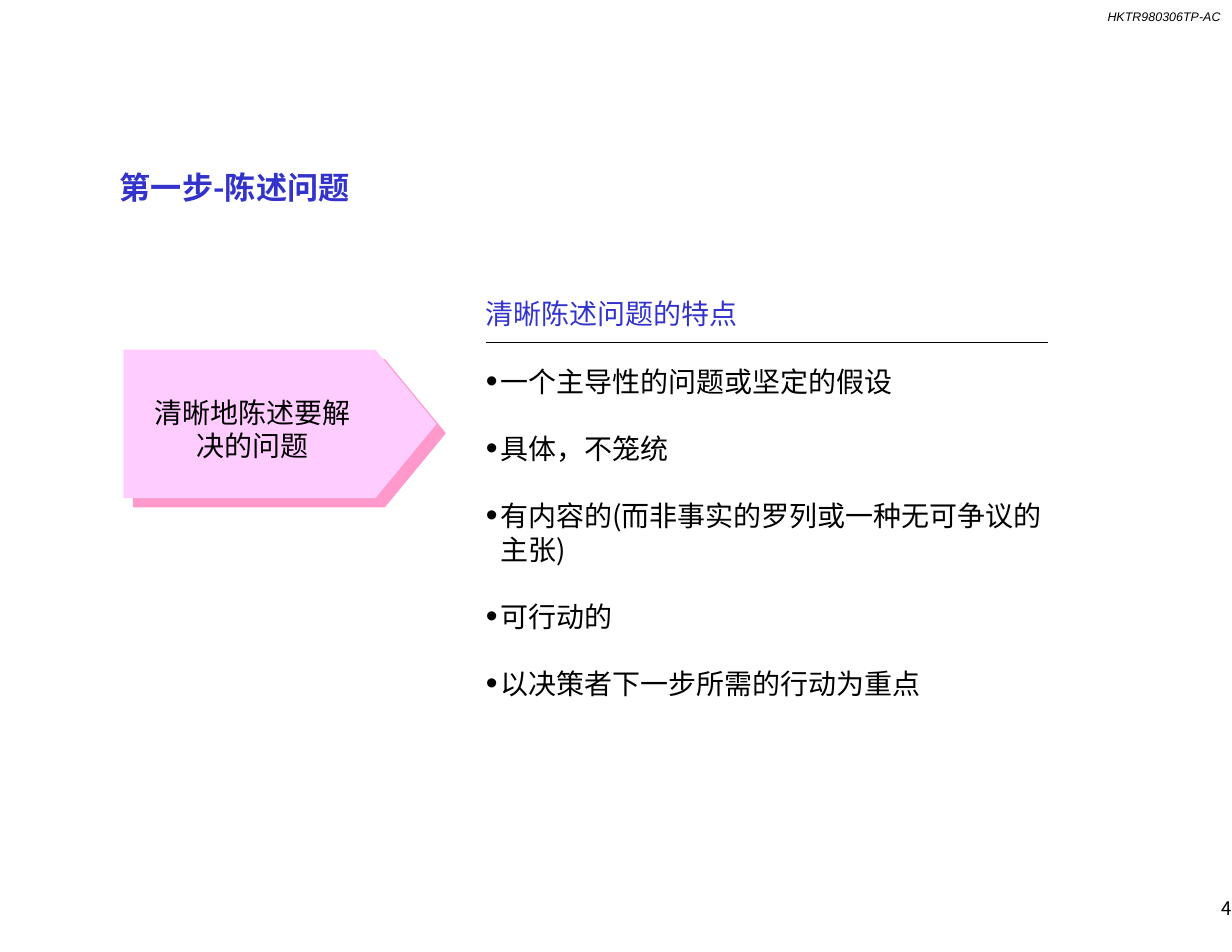
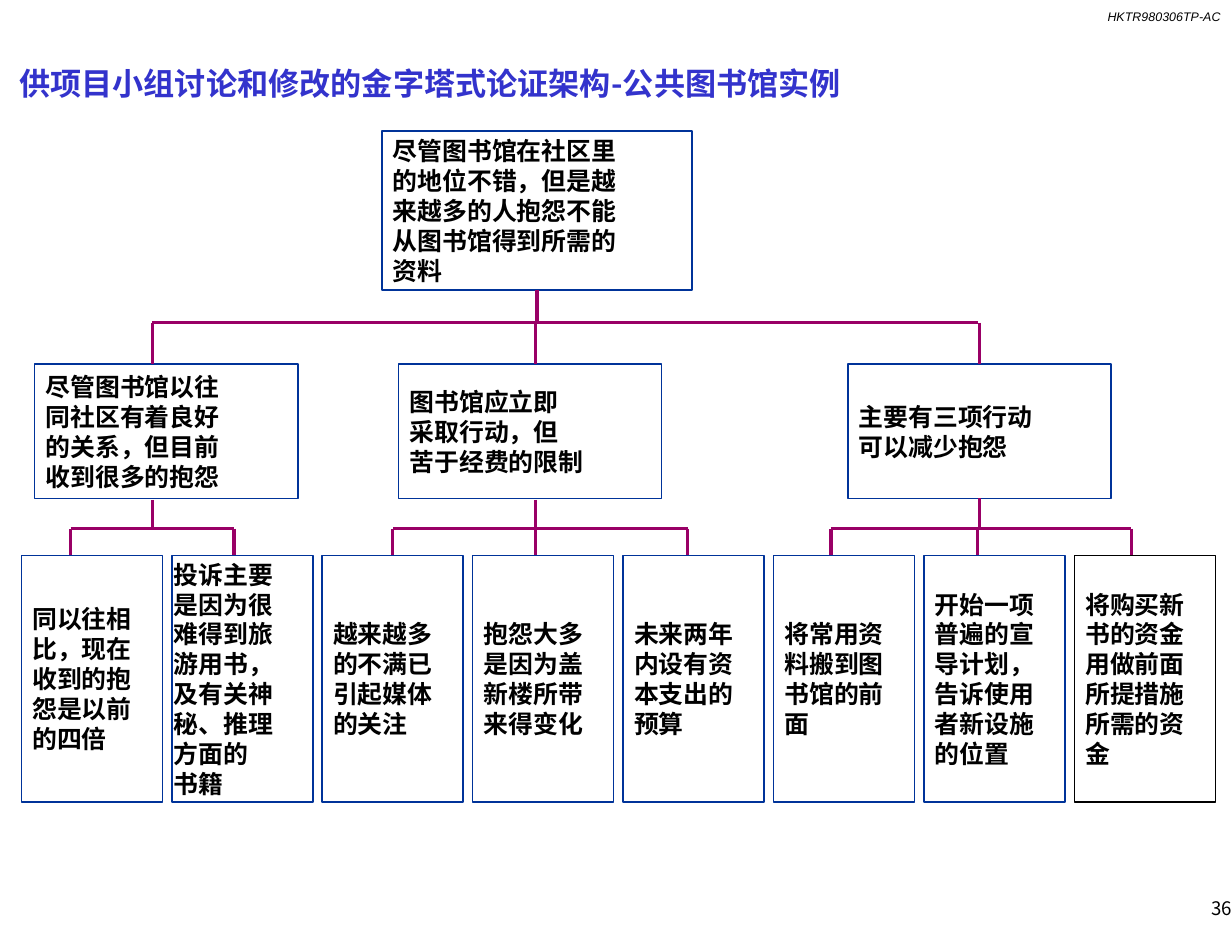
"""Build two slides on stating a problem and arguing it as a pyramid."""
from lxml.etree import SubElement
from pptx import Presentation
from pptx.dml.color import RGBColor
from pptx.enum.shapes import MSO_CONNECTOR, MSO_SHAPE
from pptx.enum.text import MSO_ANCHOR, PP_ALIGN
from pptx.oxml.ns import qn
from pptx.util import Inches, Pt

THEME = {
    "blue": "3333CC", "black": "000000", "white": "FFFFFF", "edge": "003399",
    "pink": "FFCCFF", "shade": "FF99CC", "link": "990066",
    "code": {"size": 8, "name": "Arial", "bold": False, "italic": True},
    "number": {"size": 12, "name": "Noto Sans CJK SC", "bold": False},
    "title": {"size": 20, "name": "Noto Sans CJK SC", "bold": True},
    "body": {"size": 18, "name": "Noto Sans CJK SC", "bold": False},
    "box": {"size": 16, "name": "Noto Sans CJK SC", "bold": True},
}
LEADING = 1.2

prs = Presentation()
prs.slide_width, prs.slide_height = Inches(11), Inches(8.5)
PX, PY = prs.slide_width / 100, prs.slide_height / 100


def text(s, at, words, style, color="black", align=PP_ALIGN.LEFT, anchor=MSO_ANCHOR.TOP,
         edge=None, inset=0):
    """Place words, in a bordered rectangle if edge is given; at is in percent of the slide."""
    x, y, w, h = at
    pos = [int(v) for v in (x * PX, y * PY, w * PX, h * PY)]
    if edge:
        sp = s.shapes.add_shape(MSO_SHAPE.RECTANGLE, *pos)
        sp.shadow.inherit = False
        sp.fill.solid()
        sp.fill.fore_color.rgb = RGBColor.from_string(THEME["white"])
        sp.line.color.rgb = RGBColor.from_string(THEME[edge])
        sp.line.width = Pt(1)
    else:
        sp = s.shapes.add_textbox(*pos)
    tf = sp.text_frame
    pad = Inches(0.05 if edge else 0)
    frame = {"word_wrap": True, "vertical_anchor": anchor, "margin_top": pad, "margin_bottom": pad,
             "margin_left": Inches(inset), "margin_right": Inches(inset), "text": words}
    for key, value in frame.items():
        setattr(tf, key, value)
    fmt = THEME[style]
    for p in tf.paragraphs:
        p.alignment = align
        p.line_spacing = Pt(fmt["size"] * LEADING)
        for r in p.runs:
            for key, value in fmt.items():
                setattr(r.font, key, Pt(value) if key == "size" else value)
            r.font.color.rgb = RGBColor.from_string(THEME[color])
            SubElement(r.font._element, qn("a:ea"), typeface=fmt["name"])
    return sp


def link(s, x1, y1, x2, y2, color="link", width=2, start=None, end=None):
    """Draw a line in percent of the slide, joined to a box whose side it meets at the middle."""
    for sp in (start, end):
        if sp is not None:
            mid = (sp.left + sp.width / 2) / PX
            if abs(mid - x1) < 0.25:
                x1 = x2 = mid
            elif sp is start:
                start = None
            else:
                end = None
    c = s.shapes.add_connector(MSO_CONNECTOR.STRAIGHT, int(x1 * PX), int(y1 * PY),
                               int(x2 * PX), int(y2 * PY))
    if start is not None:
        c.begin_connect(start, 2)
    if end is not None:
        c.end_connect(end, 0)
    c.line.color.rgb = RGBColor.from_string(THEME[color])
    c.line.width = Pt(width)
    SubElement(c._element.spPr, qn("a:effectLst"))


heads = [
    ("第一步-陈述问题", (9.73, 17.65, 81.18, 3.88), "4"),
    ("供项目小组讨论和修改的金字塔式论证架构-公共图书馆实例", (1.55, 6.82, 90.09, 3.88), "36"),
]
slides = []
for title, at, number in heads:
    s = prs.slides.add_slide(prs.slide_layouts[6])
    text(s, (82.64, 0.94, 16.45, 1.53), "HKTR980306TP-AC", "code", align=PP_ALIGN.RIGHT)
    text(s, at, title, "title", "blue")
    text(s, (79.55, 94, 20.45, 2.82), number, "number", align=PP_ALIGN.RIGHT,
         anchor=MSO_ANCHOR.MIDDLE)
    slides.append(s)
problem, pyramid = slides

left, neck, tip, top, bottom = 10.09, 30.45, 35.36, 36.82, 52.24
outline = [(left, top), (neck, top), (tip, (top + bottom) / 2), (neck, bottom), (left, bottom)]
points = [(int(x * PX), int(y * PY)) for x, y in outline]
fb = problem.shapes.build_freeform(*points[0])
fb.add_line_segments(points[1:], close=True)
sp = fb.convert_to_shape()
sp.fill.solid()
sp.fill.fore_color.rgb = sp.line.color.rgb = RGBColor.from_string(THEME["pink"])
sp.line.width = Pt(1)
sp.shadow.inherit = False
shadow = SubElement(sp._element.spPr.find(qn("a:effectLst")), qn("a:outerShdw"),
                    blurRad="0", dist=str(Pt(8.5)), dir="2700000", algn="ctr", rotWithShape="0")
SubElement(shadow, qn("a:srgbClr"), val=THEME["shade"])
text(problem, (11.64, 41.53, 17.64, 7.06), "清晰地陈述要解决的问题", "body", align=PP_ALIGN.CENTER)

features = [
    "清晰陈述问题的特点",
    "一个主导性的问题或坚定的假设",
    "具体，不笼统",
    "有内容的(而非事实的罗列或一种无可争议的主张)",
    "可行动的",
    "以决策者下一步所需的行动为重点",
]
sp = text(problem, (39.45, 31.18, 47.18, 42.35), "\n".join(features), "body")
head, *bullets = sp.text_frame.paragraphs
head.runs[0].font.color.rgb = RGBColor.from_string(THEME["blue"])
for p in bullets:
    p.level = 1
    p.space_before = Pt(THEME["body"]["size"] * LEADING)
    pPr = p._p.get_or_add_pPr()
    pPr.set("marL", str(Inches(0.13)))
    pPr.set("indent", str(-Inches(0.13)))
    SubElement(SubElement(pPr, qn("a:buClr")), qn("a:srgbClr"), val=THEME["black"])
    SubElement(pPr, qn("a:buSzPct"), val="120000")
    SubElement(pPr, qn("a:buFont"), typeface="Arial")
    SubElement(pPr, qn("a:buChar"), char="•")
link(problem, 39.45, 36, 85.09, 36, "black", 1)

claim = ["尽管图书馆在社区里", "的地位不错，但是越", "来越多的人抱怨不能", "从图书馆得到所需的", "资料"]
branches = [
    (2.82, 12.36, ["尽管图书馆以往", "同社区有着良好", "的关系，但目前", "收到很多的抱怨"], [
        (5.73, ["同以往相", "比，现在", "收到的抱", "怨是以前", "的四倍"]),
        (19, ["投诉主要", "是因为很", "难得到旅", "游用书，", "及有关神", "秘、推理", "方面的", "书籍"]),
    ]),
    (32.36, 43.45, ["图书馆应立即", "采取行动，但", "苦于经费的限制"], [
        (31.91, ["越来越多", "的不满已", "引起媒体", "的关注"]),
        (43.45, ["抱怨大多", "是因为盖", "新楼所带", "来得变化"]),
        (55.82, ["未来两年", "内设有资", "本支出的", "预算"]),
    ]),
    (68.82, 79.36, ["主要有三项行动", "可以减少抱怨"], [
        (67.45, ["将常用资", "料搬到图", "书馆的前", "面"]),
        (79.36, ["开始一项", "普遍的宣", "导计划，", "告诉使用", "者新设施", "的位置"]),
        (91.82, ["将购买新", "书的资金", "用做前面", "所提措施", "所需的资", "金"]),
    ]),
]
BUS, LEAF_BUS = 33.88, 55.53
LEAF_X, LEAF_STEP = 1.73, 12.21
LAST, CROWDED = 7, 1

root = text(pyramid, (31, 13.76, 25.18, 16.71), "\n".join(claim), "box",
            anchor=MSO_ANCHOR.MIDDLE, edge="edge", inset=0.1)
link(pyramid, 43.45, 30.47, 43.45, BUS, start=root)
link(pyramid, branches[0][1], BUS, branches[-1][1], BUS)
i = 0
for x, joint, lines, leaves in branches:
    sp = text(pyramid, (x, 38.24, 21.36, 14.12), "\v".join(lines), "box",
              anchor=MSO_ANCHOR.MIDDLE, edge="edge", inset=0.1)
    link(pyramid, joint, BUS, joint, 38.24, end=sp)
    link(pyramid, joint, 52.5, joint, LEAF_BUS, start=sp)
    link(pyramid, leaves[0][0], LEAF_BUS, leaves[-1][0], LEAF_BUS)
    for drop, words in leaves:
        leaf = text(pyramid, (LEAF_X + i * LEAF_STEP, 58.35, 11.45, 25.88), "\n".join(words), "box",
                    anchor=MSO_ANCHOR.MIDDLE, edge="black" if i == LAST else "edge",
                    inset=0.02 if i == CROWDED else 0.1)
        link(pyramid, drop, LEAF_BUS, drop, 58.35, end=leaf)
        i += 1

prs.save("out.pptx")
